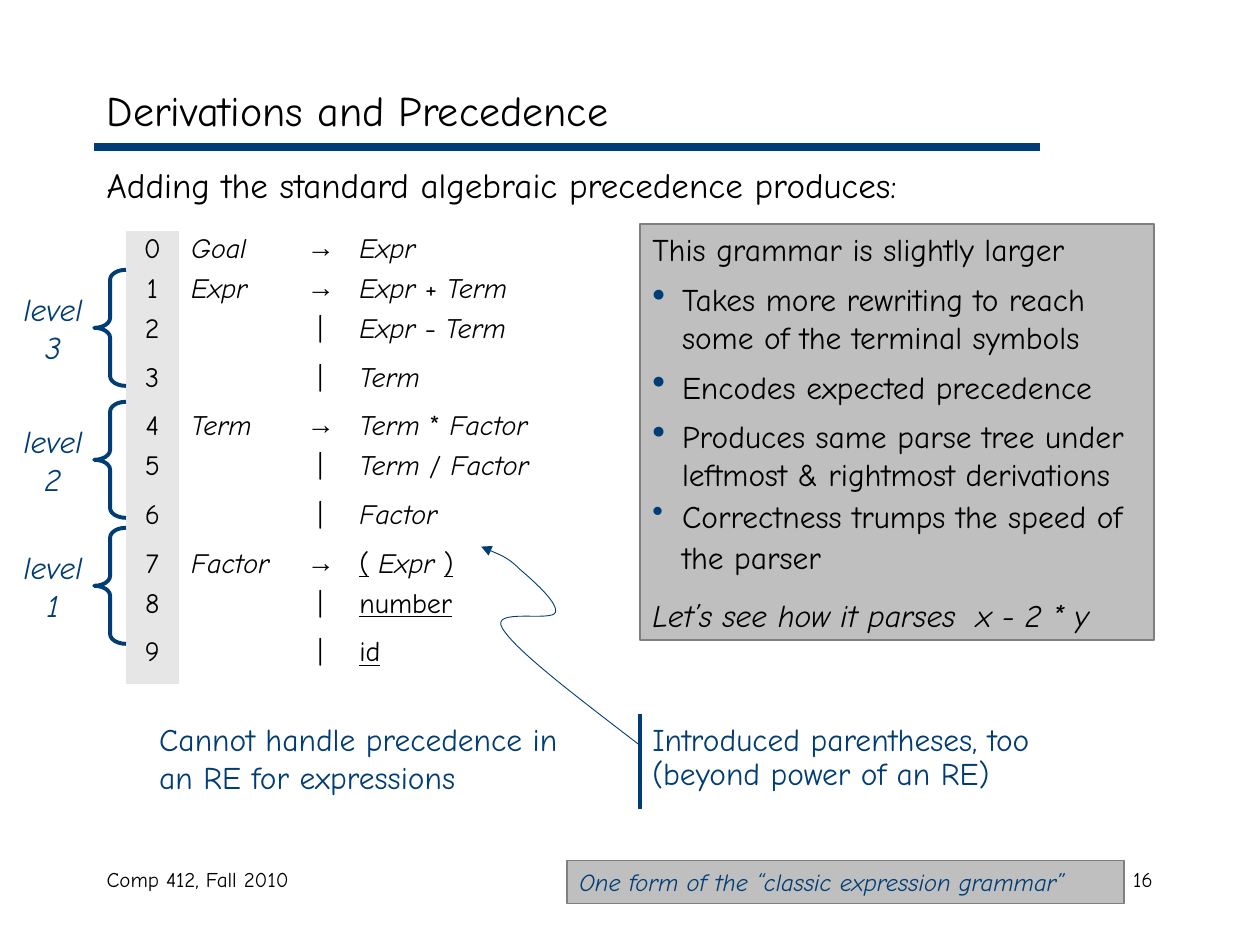
from dataclasses import dataclass

from lxml import etree
from pptx import Presentation
from pptx import util as u
from pptx.dml.color import RGBColor
from pptx.enum import shapes, text
from pptx.oxml import ns


@dataclass(frozen=True)
class Theme:
    font: str = "Comic Neue"
    symbol_font: str = "Arial"
    ink: str = "000000"
    accent: str = "003C75"
    panel: str = "BFBFBF"
    panel_line: str = "7F7F7F"
    index_fill: str = "E6E6E6"
    title: int = 24
    lead: int = 20
    body: int = 18
    grammar: int = 16
    note: int = 14
    footer: int = 12


THEME = Theme()
CENTER = text.PP_ALIGN.CENTER
PLAIN_TABLE = "{2D5ABB26-0587-4C30-8999-92F81FD0307C}"


def add_element(parent, tag, **attributes):
    element = etree.SubElement(parent, ns.qn(tag))
    for name, value in attributes.items():
        element.set(name, value)
    return element


def add_bullet(paragraph, percent):
    properties = paragraph._p.get_or_add_pPr()
    properties.set("marL", str(u.Cm(0.6)))
    properties.set("indent", str(-u.Cm(0.6)))
    add_element(add_element(properties, "a:buClr"), "a:srgbClr", val=THEME.accent)
    add_element(properties, "a:buSzPct", val=str(percent * 1000))
    add_element(properties, "a:buChar", char="•")


def write(frame, content, *, size, color=THEME.ink, font=THEME.font, italic=False,
          align=text.PP_ALIGN.LEFT, before=0, spacing=None, bullet=None, new=False):
    paragraph = frame.add_paragraph() if new else frame.paragraphs[0]
    if bullet:
        add_bullet(paragraph, bullet)
    paragraph.alignment = align
    paragraph.space_before = u.Pt(before)
    if spacing:
        paragraph.line_spacing = spacing
    spans = [(content, "i" if italic else "")] if isinstance(content, str) else content
    for words, style in spans:
        run = paragraph.add_run()
        run.text = words
        run.font.name = font
        run.font.size = u.Pt(size)
        run.font.color.rgb = RGBColor.from_string(color)
        run.font.italic = "i" in style
        run.font.underline = "u" in style


class SlideBuilder:
    def __init__(self, presentation, theme):
        self.theme = theme
        self.slide = presentation.slides.add_slide(presentation.slide_layouts[5])

    def stroke(self, line, color, width):
        line.color.rgb = RGBColor.from_string(color)
        line.width = u.Pt(width)

    def title(self, words, *box):
        title = self.slide.shapes.title
        title.left, title.top, title.width, title.height = map(u.Cm, box)
        title.text_frame.vertical_anchor = text.MSO_ANCHOR.MIDDLE
        write(title.text_frame, words, size=self.theme.title)

    def text_box(self, *box):
        frame = self.slide.shapes.add_textbox(*map(u.Cm, box)).text_frame
        frame.word_wrap = True
        return frame

    def panel(self, *box, width):
        shape = self.slide.shapes.add_shape(shapes.MSO_SHAPE.RECTANGLE, *map(u.Cm, box))
        shape.shadow.inherit = False
        shape.fill.solid()
        shape.fill.fore_color.rgb = RGBColor.from_string(self.theme.panel)
        self.stroke(shape.line, self.theme.panel_line, width)
        shape.text_frame.word_wrap = True
        shape.text_frame.vertical_anchor = text.MSO_ANCHOR.TOP
        return shape.text_frame

    def line(self, *ends, width):
        line = self.slide.shapes.add_connector(shapes.MSO_CONNECTOR.STRAIGHT, *map(u.Cm, ends))
        self.stroke(line.line, self.theme.accent, width)
        add_element(line._element.spPr, "a:effectLst")

    def level(self, top, number):
        brace = self.slide.shapes.add_shape(
            shapes.MSO_SHAPE.LEFT_BRACE, u.Cm(1.9), u.Cm(top), u.Cm(0.64), u.Cm(2.34))
        brace.adjustments[0] = 0.31
        brace.shadow.inherit = False
        brace.fill.background()
        self.stroke(brace.line, self.theme.accent, 2.25)
        frame = self.text_box(-0.2, top + 0.28, 2.54, 1.78)
        for index, words in enumerate(("level", number)):
            write(frame, words, size=self.theme.body, color=self.theme.accent,
                  italic=True, align=CENTER, new=index > 0)

    def curved_arrow(self, points, width):
        start, *rest = [(u.Cm(x), u.Cm(y)) for x, y in points]
        builder = self.slide.shapes.build_freeform(*start)
        builder.add_line_segments(rest, close=False)
        curve = builder.convert_to_shape()
        curve.shadow.inherit = False
        curve.fill.background()
        self.stroke(curve.line, self.theme.accent, width)
        add_element(curve.line._get_or_add_ln(), "a:tailEnd", type="triangle")
        segments = list(curve._element.iter(ns.qn("a:lnTo")))
        outline = segments[0].getparent()
        for first in range(0, len(segments), 3):
            bezier = add_element(outline, "a:cubicBezTo")
            for segment in segments[first:first + 3]:
                bezier.append(segment[0])
                outline.remove(segment)

    def grammar(self, rules, left, top, widths):
        heights = [0.81 if head else 0.98 for head, _ in rules]
        table = self.slide.shapes.add_table(
            len(rules), len(widths), u.Cm(left), u.Cm(top),
            u.Cm(sum(widths)), u.Cm(sum(heights))).table
        table.first_row = table.horz_banding = False
        table._tbl.tblPr.find(ns.qn("a:tableStyleId")).text = PLAIN_TABLE
        for column, width in zip(table.columns, widths):
            column.width = u.Cm(width)
        for number, (head, production) in enumerate(rules):
            table.rows[number].height = u.Cm(heights[number])
            values = (str(number), head, "→" if head else "|", production)
            for column, value in enumerate(values):
                cell = table.cell(number, column)
                cell.fill.background()
                if column == 0:
                    cell.fill.solid()
                    cell.fill.fore_color.rgb = RGBColor.from_string(self.theme.index_fill)
                if not value:
                    cell.margin_top = cell.margin_bottom = 0
                    continue
                write(cell.text_frame, value, size=self.theme.grammar, spacing=0.8,
                      font=self.theme.symbol_font if value == "→" else self.theme.font,
                      italic=column == 1,
                      align=CENTER if column in (0, 2) else text.PP_ALIGN.LEFT)


def binary(left, operator, right):
    return [(left, "i"), (f" {operator} ", ""), (right, "i")]


def main():
    presentation = Presentation()
    presentation.slide_width, presentation.slide_height = u.Cm(25.4), u.Cm(19.05)
    page = SlideBuilder(presentation, THEME)
    accent = {"size": THEME.body, "color": THEME.accent}

    page.line(1.9, 2.97, 20.96, 2.97, width=4.5)
    page.title("Derivations and Precedence", 1.9, 1.48, 21.6, 1.48)
    write(page.text_box(1.9, 3.18, 21.6, 1.2),
          "Adding the standard algebraic precedence produces:", size=THEME.lead)

    page.grammar([
        ("Goal", [("Expr", "i")]),
        ("Expr", binary("Expr", "+", "Term")),
        ("", binary("Expr", "-", "Term")),
        ("", [("Term", "i")]),
        ("Term", binary("Term", "*", "Factor")),
        ("", binary("Term", "/", "Factor")),
        ("", [("Factor", "i")]),
        ("Factor", [("(", "u"), (" ", ""), ("Expr ", "i"), (")", "u")]),
        ("", [("number", "u")]),
        ("", [("id", "u")]),
    ], 2.54, 4.66, (1.06, 2.33, 1.06, 4.66))
    for top, number in ((5.44, "3"), (8.1, "2"), (10.64, "1")):
        page.level(top, number)

    remarks = page.panel(12.9, 4.52, 10.36, 8.38, width=1)
    write(remarks, "This grammar is slightly larger", size=THEME.body)
    for remark in ("Takes more rewriting to reach some of the terminal symbols",
                   "Encodes expected precedence",
                   "Produces same parse tree under leftmost & rightmost derivations"):
        write(remarks, remark, size=THEME.body, before=6.8, bullet=120, new=True)
    write(remarks, "Correctness trumps the speed of the parser",
          size=THEME.body, spacing=1.1, bullet=100, new=True)
    write(remarks, "Let’s see how it parses  x - 2 * y",
          size=THEME.body, italic=True, before=11.2, new=True)

    write(page.text_box(2.96, 14.4, 8.68, 1.78),
          "Cannot handle precedence in an RE for expressions", **accent)
    parentheses = page.text_box(12.9, 14.4, 9.52, 1.7)
    write(parentheses, "Introduced parentheses, too", **accent)
    write(parentheses, "(beyond power of an RE)", spacing=0.9, new=True, **accent)
    page.line(12.9, 14.4, 12.9, 16.3, width=2.25)
    page.curved_arrow([
        (12.88, 15.01),
        (11.66, 14.07), (10.41, 13.13), (10.13, 12.67),
        (9.86, 12.24), (11.15, 12.55), (11.2, 12.34),
        (11.25, 12.14), (10.72, 11.68), (10.46, 11.46),
        (10.24, 11.23), (9.7, 11.02), (9.7, 11.02),
    ], width=0.5)

    write(page.text_box(1.9, 17.35, 8.05, 1.27), "Comp 412, Fall 2010", size=THEME.footer)
    write(page.text_box(18.21, 17.35, 5.28, 1.27), "16",
          size=THEME.footer, align=text.PP_ALIGN.RIGHT)
    write(page.panel(11.43, 17.35, 11.23, 0.86, width=0.75),
          "One form of the “classic expression grammar”",
          size=THEME.note, color=THEME.accent, italic=True)
    presentation.save("out.pptx")


if __name__ == "__main__":
    main()
